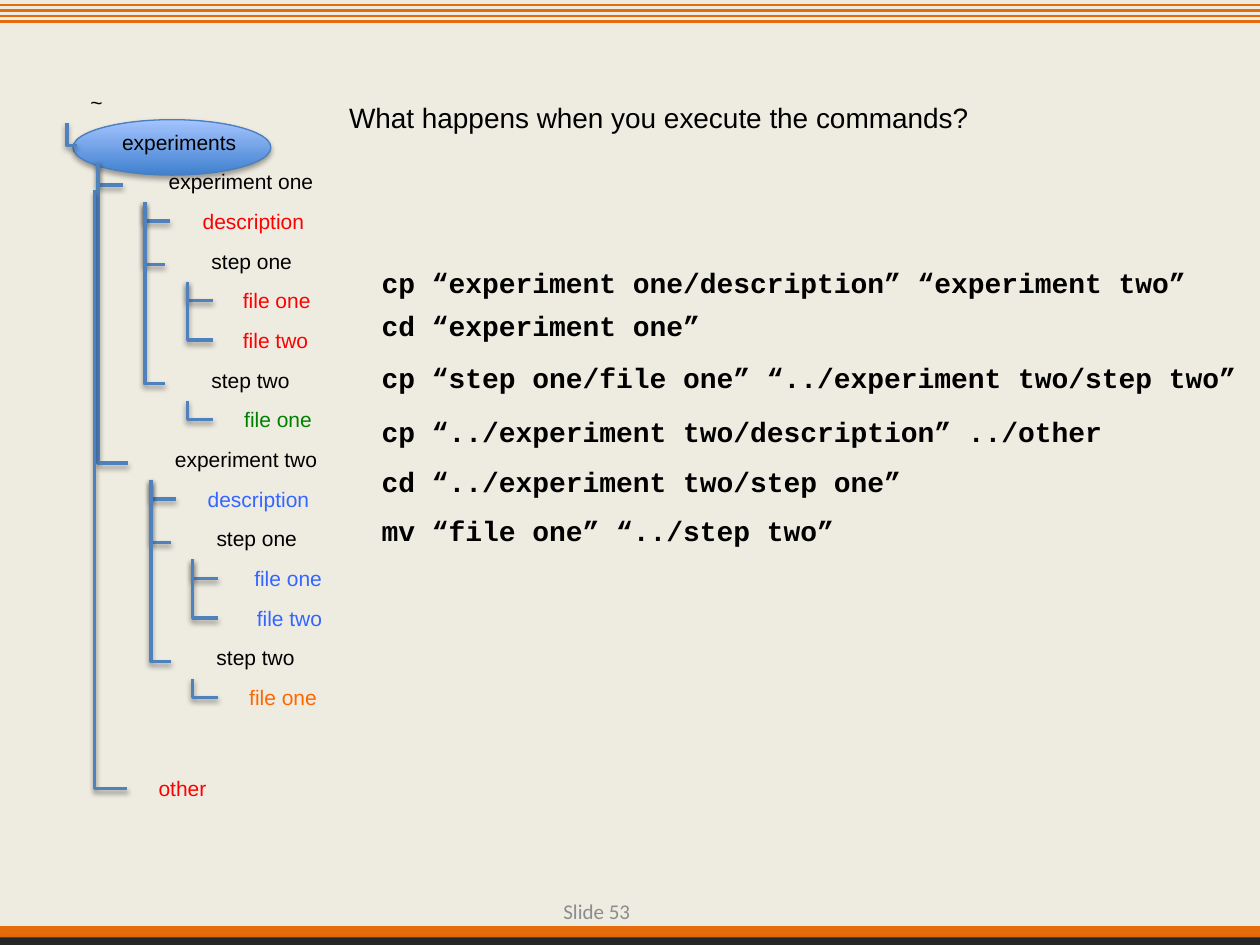
"""Build a slide with a folder tree beside a list of shell commands."""
from lxml import etree
from pptx import Presentation
from pptx.dml.color import RGBColor
from pptx.enum.shapes import MSO_CONNECTOR, MSO_SHAPE
from pptx.enum.text import MSO_ANCHOR, MSO_AUTO_SIZE, PP_ALIGN
from pptx.oxml.ns import qn
from pptx.util import Inches, Pt

RECTANGLE, ELLIPSE = MSO_SHAPE.RECTANGLE, MSO_SHAPE.OVAL
STRAIGHT, ELBOW = MSO_CONNECTOR.STRAIGHT, MSO_CONNECTOR.ELBOW
TOP, MIDDLE = MSO_ANCHOR.TOP, MSO_ANCHOR.MIDDLE
LEFT, RIGHT = PP_ALIGN.LEFT, PP_ALIGN.RIGHT
GROW, FIXED = MSO_AUTO_SIZE.SHAPE_TO_FIT_TEXT, MSO_AUTO_SIZE.NONE

WIDTH, HEIGHT = 10, 7.5
COLORS = {
    "background": "EEECE1", "orange": "E46C0A", "dark": "262626", "black": "000000",
    "red": "FF0000", "green": "008000", "blue": "3366FF", "amber": "FF6600",
    "branch": "4F81BD", "outline": "4B7EBC", "deep": "3F80CE", "pale": "A4C4FF",
    "grey": "8C8C8C",
}
LABEL = {"size": Pt(12), "name": "Arial", "bold": False}
QUESTION = {"size": Pt(16), "name": "Arial", "bold": False}
COMMAND = {"size": Pt(16), "name": "Courier New", "bold": True}
FOOTER = {"size": Pt(12), "name": "Calibri", "bold": False}

TITLE = "What happens when you execute the commands?"
COMMANDS = [
    (2.06, "cp “experiment one/description” “experiment two”"),
    (2.40, "cd “experiment one”"),
    (2.81, "cp “step one/file one” “../experiment two/step two”"),
    (3.24, "cp “../experiment two/description” ../other"),
    (3.64, "cd “../experiment two/step one”"),
    (4.03, "mv “file one” “../step two”"),
]
COMMAND_LEFT, COMMAND_WIDTH, COMMAND_HEIGHT = 2.93, 7.58, 0.37

TREE_TOP, ROW, LABEL_HEIGHT = 0.66, 0.315, 0.3
FOLDER_DROP, FILE_DROP = 0.18, 0.15
LABEL_WIDTHS = {
    "~": 0.3, "experiments": 1.12, "experiment one": 1.36, "experiment two": 1.34,
    "description": 1.02, "step one": 0.85, "step two": 0.83,
    "file one": 0.74, "file two": 0.73, "other": 1.02,
}
# row, label, left, colour, (branch start row, trunk position, arm length)
TREE = [
    (0, "~", 0.62, "black", None),
    (1, "experiments", 0.87, "black", (1, 0.53, 0.08)),
    (2, "experiment one", 1.24, "black", (2, 0.78, 0.2)),
    (3, "description", 1.51, "red", (3, 1.15, 0.2)),
    (4, "step one", 1.58, "black", (3, 1.15, 0.16)),
    (5, "file one", 1.83, "red", (5, 1.49, 0.2)),
    (6, "file two", 1.83, "red", (5, 1.49, 0.2)),
    (7, "step two", 1.58, "black", (3, 1.15, 0.16)),
    (8, "file one", 1.84, "green", (8, 1.49, 0.2)),
    (9, "experiment two", 1.29, "black", (2, 0.78, 0.24)),
    (10, "description", 1.55, "blue", (10, 1.2, 0.2)),
    (11, "step one", 1.62, "black", (10, 1.2, 0.16)),
    (12, "file one", 1.92, "blue", (12, 1.53, 0.2)),
    (13, "file two", 1.94, "blue", (12, 1.53, 0.2)),
    (14, "step two", 1.62, "black", (10, 1.2, 0.16)),
    (15, "file one", 1.88, "amber", (15, 1.53, 0.2)),
    (17.3, "other", 1.16, "red", (2.7, 0.75, 0.26)),
]


def color(name):
    return RGBColor.from_string(COLORS[name])


def set_shadow(shape, opacity=None):
    properties = shape._element.spPr
    effects = etree.SubElement(properties, qn("a:effectLst"))
    if opacity:
        shadow = etree.SubElement(effects, qn("a:outerShdw"), blurRad=str(Pt(3.1)),
                                  dist=str(Pt(1.7)), dir="5400000", rotWithShape="0")
        tint = etree.SubElement(shadow, qn("a:srgbClr"), val=COLORS["black"])
        etree.SubElement(tint, qn("a:alpha"), val=str(opacity * 1000))


def add_line(slide, kind, box, tint, width):
    line = slide.shapes.add_connector(kind, *map(Inches, box))
    line.line.color.rgb = color(tint)
    line.line.width = Pt(width)
    return line


def add_branch(slide, trunk, top, arm, bottom):
    drop = bottom - top
    middle_x, middle_y = trunk + arm / 2, (top + bottom) / 2
    box = (middle_x - drop / 2, middle_y - arm / 2,
           middle_x + drop / 2, middle_y + arm / 2)
    branch = add_line(slide, ELBOW, box, "branch", 2)
    properties = branch._element.spPr
    properties.find(qn("a:prstGeom")).set("prst", "bentConnector2")
    for name, value in {"rot": "16200000", "flipH": "1"}.items():
        properties.find(qn("a:xfrm")).set(name, value)
    set_shadow(branch, 38)


def add_bar(slide, top, height, tint, opacity=None):
    bar = slide.shapes.add_shape(RECTANGLE, 0, Inches(top), Inches(WIDTH), Inches(height))
    bar.fill.solid()
    bar.fill.fore_color.rgb = color(tint)
    bar.line.fill.background()
    set_shadow(bar, opacity)


def write(shape, box, text, style, tint="black", alignment=LEFT, **frame_format):
    for name, value in zip(("left", "top", "width", "height"), box):
        setattr(shape, name, Inches(value))
    frame = shape.text_frame
    frame.text = text
    settings = {"word_wrap": True, "vertical_anchor": TOP, "auto_size": GROW}
    for name, value in {**settings, **frame_format}.items():
        setattr(frame, name, value)
    paragraph = frame.paragraphs[0]
    paragraph.alignment = alignment
    font = paragraph.runs[0].font
    for name, value in style.items():
        setattr(font, name, value)
    font.color.rgb = color(tint)


def add_text(slide, *content, **options):
    write(slide.shapes.add_textbox(0, 0, 0, 0), *content, **options)


def add_highlight(slide):
    ellipse = slide.shapes.add_shape(ELLIPSE, *map(Inches, (0.58, 0.95, 1.57, 0.44)))
    ellipse.fill.gradient()
    ellipse.fill.gradient_angle = 90
    for stop, tint in zip(ellipse.fill.gradient_stops, ("deep", "pale")):
        stop.color.rgb = color(tint)
    ellipse.line.color.rgb = color("outline")
    ellipse.line.width = Pt(0.75)
    set_shadow(ellipse, 35)


def add_tree(slide):
    for row, label, left, tint, branch in TREE:
        top = TREE_TOP + row * ROW
        box = (left, top, LABEL_WIDTHS[label], LABEL_HEIGHT)
        add_text(slide, box, label, LABEL, tint, word_wrap=False)
        if branch:
            start_row, trunk, arm = branch
            drop = FOLDER_DROP if tint == "black" else FILE_DROP
            add_branch(slide, trunk, TREE_TOP + start_row * ROW, arm, top + drop)


def main():
    presentation = Presentation()
    presentation.slide_width, presentation.slide_height = Inches(WIDTH), Inches(HEIGHT)
    slide = presentation.slides.add_slide(presentation.slide_layouts[5])
    slide.background.fill.solid()
    slide.background.fill.fore_color.rgb = color("background")

    add_bar(slide, 7.35, 0.16, "orange")
    for index in range(4):
        y = 0.04 + index * 0.043
        set_shadow(add_line(slide, STRAIGHT, (0, y, WIDTH, y), "orange", 1.5))
    add_bar(slide, 7.44, 0.06, "dark", 35)

    add_highlight(slide)
    add_tree(slide)
    write(slide.shapes.title, (2.67, 0.75, COMMAND_WIDTH, COMMAND_HEIGHT), TITLE, QUESTION)
    for top, command in COMMANDS:
        box = (COMMAND_LEFT, top, COMMAND_WIDTH, COMMAND_HEIGHT)
        add_text(slide, box, command, COMMAND)
    add_text(slide, (4.11, 7.03, 0.99, 0.4), "Slide 53", FOOTER, "grey", RIGHT,
             vertical_anchor=MIDDLE, auto_size=FIXED)
    presentation.save("out.pptx")


if __name__ == "__main__":
    main()
